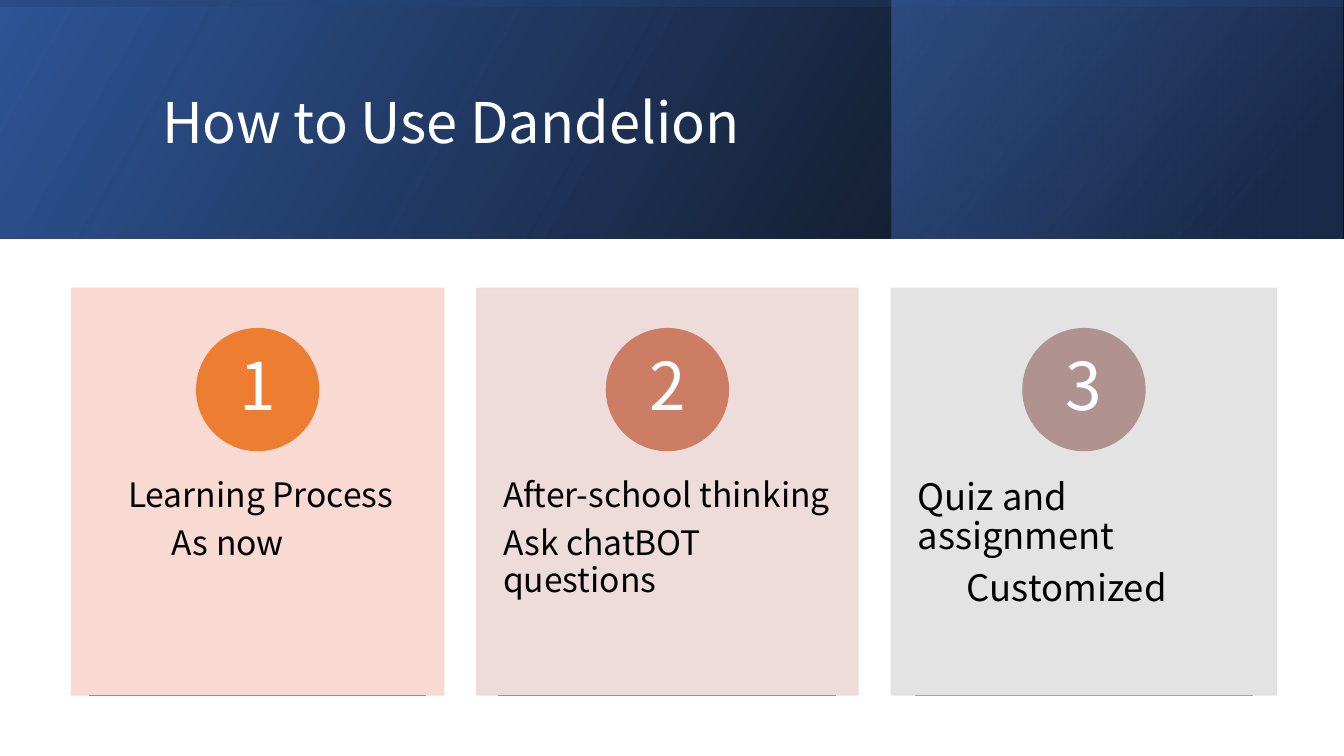
from lxml import etree
from pptx import Presentation
from pptx.dml.color import RGBColor
from pptx.enum import shapes, text
from pptx.oxml import ns
from pptx.util import Inches, Pt

WIDE, HIGH = 13.33, 7.5
FONT = "Noto Sans CJK SC"
HUES = {
    "white": "FFFFFF", "black": "000000", "blue": "2F5597",
    "navy": "203864", "sky": "4472C4",
    "peach": "F8D7CE", "orange": "ED7D31", "amber": "DC7A4B",
    "rose": "EDD9D7", "clay": "CC7D64", "brick": "BD867B",
    "mist": "E1E1E1", "mauve": "B09391", "grey": "A5A5A5",
}
BAND = 31.6  # banner height in rows
DISC = 1.21 / WIDE * 100  # circle width in columns

# Left, width, (card, circle, rule) hues, text size, (indent, line) pairs
CARDS = [
    (5.33, 27.68, ("peach", "orange", "amber"), 24,
     [(2.25, "Learning Process"), (5.5, "As now")]),
    (35.48, 28.36, ("rose", "clay", "brick"), 24,
     [(0, "After-school thinking"), (0, "Ask chatBOT questions")]),
    (66.32, 28.66, ("mist", "mauve", "grey"), 26,
     [(0, "Quiz and assignment"), (3.67, "Customized")]),
]


# The slide is a grid of 100 columns by 100 rows
def col(n):
    return Inches(WIDE * n / 100)


def row(n):
    return Inches(HIGH * n / 100)


def place(x, y, w, h):
    return col(x), row(y), col(w), row(h)


def rgb(hue):
    return RGBColor.from_string(HUES[hue])


def put(item, **vals):
    for name, val in vals.items():
        setattr(item, name, val)


def sub(node, tag, **vals):
    return etree.SubElement(node, ns.qn(tag), **vals)


def fade(color, share):
    sub(color, "a:alpha", val=str(share * 1000))


# Plain shape with a solid fill and matching outline
def block(slide, kind, box, hue, share=100):
    form = slide.shapes.add_shape(kind, *box)
    form.shadow.inherit = False
    form.fill.solid()
    form.fill.fore_color.rgb = form.line.color.rgb = rgb(hue)
    form.line.width = Pt(1)
    if share < 100:
        for color in form._element.spPr.iter(ns.qn("a:srgbClr")):
            fade(color, share)
    return form


# Mirrored banner layer with a translucent gradient
def layer(slide, box, stops, angle, turn=0):
    form = slide.shapes.add_shape(shapes.MSO_SHAPE.RECTANGLE, *box)
    form.shadow.inherit = False
    form.line.fill.background()
    form.rotation = turn
    props = form._element.spPr
    props.xfrm.set("flipH", "1")
    grad = etree.Element(ns.qn("a:gradFill"), rotWithShape="1")
    marks = sub(grad, "a:gsLst")
    for pos, hue, share in stops:
        mark = sub(marks, "a:gs", pos=str(pos * 1000))
        fade(sub(mark, "a:srgbClr", val=HUES[hue]), share)
    sub(grad, "a:lin", ang=str(angle * 60000), scaled="0")
    props.find(ns.qn("a:prstGeom")).addnext(grad)


# Text lines inside any shape or text box
def write(form, lines, size, hue, pad, anchor, align, after=0.35):
    frame = form.text_frame
    side, top = map(Inches, pad)
    put(frame, word_wrap=True, vertical_anchor=anchor, margin_left=side,
        margin_right=side, margin_top=top, margin_bottom=top)
    for n, (indent, words) in enumerate(lines):
        para = frame.add_paragraph() if n else frame.paragraphs[0]
        put(para, alignment=align, line_spacing=0.9,
            space_after=Pt(size * after))
        if indent:
            para._p.get_or_add_pPr().set("indent", str(col(indent)))
        run = para.add_run()
        run.text = words
        put(run.font, size=Pt(size), name=FONT)
        run.font.color.rgb = rgb(hue)


def rule(slide, x, y, w, hue):
    line = slide.shapes.add_connector(
        shapes.MSO_CONNECTOR.STRAIGHT, col(x), row(y), col(x + w), row(y))
    line.line.color.rgb = rgb(hue)
    line.line.width = Pt(1)
    sub(line._element.spPr, "a:effectLst")


def banner(slide):
    layer(slide, place(0, 0, 100, BAND),
          [(0, "black", 96), (100, "blue", 100)], 330)
    layer(slide, place(66.32, 0, 33.6, BAND),
          [(19, "navy", 68), (100, "sky", 48)], 320)
    # Upright strip, turned to lie over the whole band
    long, thin = col(100), row(BAND)
    shift = (long - thin) // 2
    layer(slide, (shift, -shift, thin, long),
          [(23, "blue", 16), (99, "black", 45)], 350, 270)
    title = slide.shapes.add_textbox(*place(11.33, 5.07, 79.74, 22.93))
    write(title, [(0, "How to Use Dandelion")], 40, "white", (0.1, 0.05),
          text.MSO_ANCHOR.MIDDLE, text.PP_ALIGN.LEFT, 0)


def card(slide, num, x, w, hues, size, lines):
    base, dot, edge = hues
    mid = x + w / 2
    block(slide, shapes.MSO_SHAPE.RECTANGLE,
          place(x, 38.13, w, 53.8), base, 90)
    body = slide.shapes.add_textbox(*place(x, 58.53, w, 32.27))
    write(body, lines, size, "black", (0.26, 0.36),
          text.MSO_ANCHOR.TOP, text.PP_ALIGN.LEFT)
    disc = block(slide, shapes.MSO_SHAPE.OVAL,
                 (col(mid - DISC / 2), row(43.47), col(DISC), col(DISC)), dot)
    write(disc, [(0, str(num))], 47, "white", (0.09, 0.01),
          text.MSO_ANCHOR.MIDDLE, text.PP_ALIGN.CENTER)
    rule(slide, mid - 12.57, 92, 25.13, edge)


def main():
    deck = Presentation()
    put(deck, slide_width=Inches(WIDE), slide_height=Inches(HIGH))
    slide = deck.slides.add_slide(deck.slide_layouts[6])
    banner(slide)
    for num, item in enumerate(CARDS, 1):
        card(slide, num, *item)
    deck.save("out.pptx")


if __name__ == "__main__":
    main()
